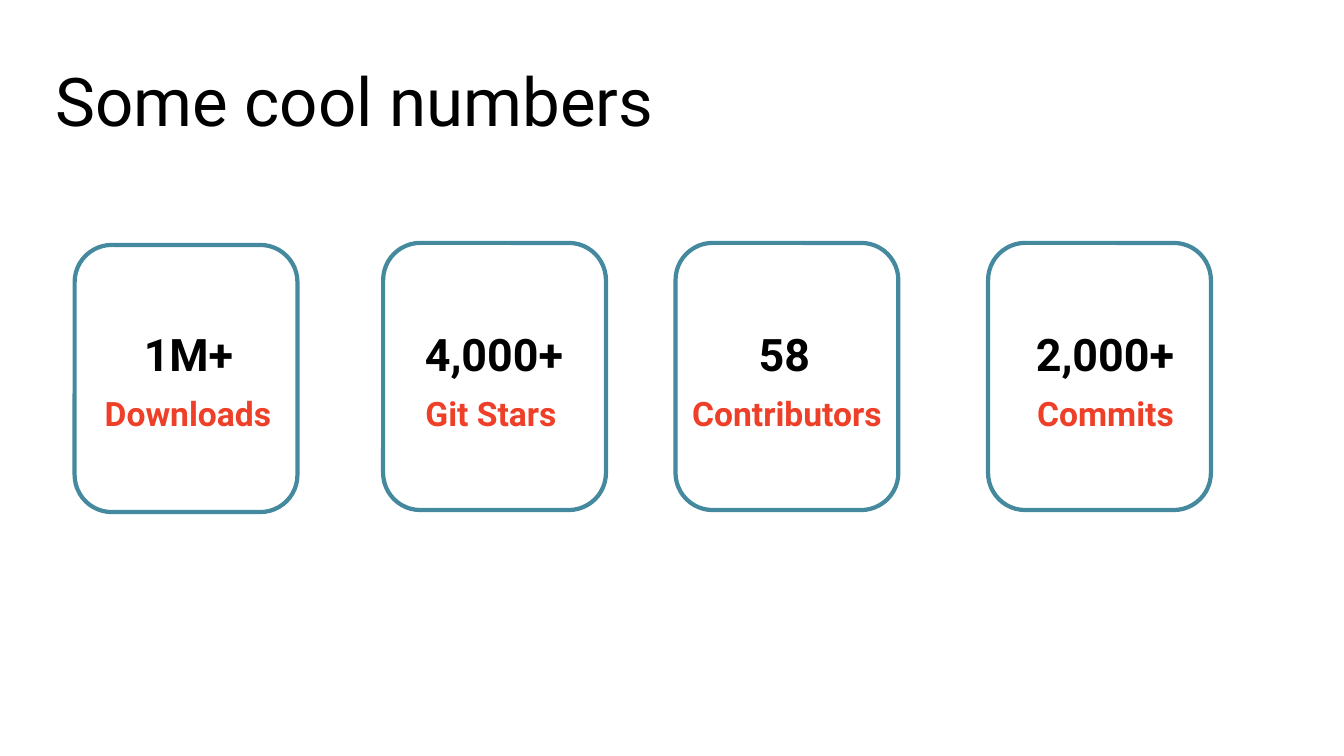
from pptx import Presentation
from pptx.dml.color import RGBColor
from pptx.enum.shapes import MSO_SHAPE
from pptx.enum.text import MSO_ANCHOR, PP_ALIGN
from pptx.util import Pt

PX = 9144
COLORS = {"ink": "000000", "label": "EE4028", "frame": "44899E"}

deck = Presentation()
deck.slide_width, deck.slide_height = 1333 * PX, 750 * PX
slide = deck.slides.add_slide(deck.slide_layouts[6])


def add_text(text, left, top, width, height, size, color, bold=True, align=PP_ALIGN.CENTER):
    box = slide.shapes.add_textbox(left * PX, top * PX, width * PX, height * PX)
    frame = box.text_frame
    frame.word_wrap = True
    frame.vertical_anchor = MSO_ANCHOR.TOP
    for side in ("left", "top", "right", "bottom"):
        setattr(frame, f"margin_{side}", 10 * PX)
    line = frame.paragraphs[0]
    line.alignment = align
    line.line_spacing = 0.9
    run = line.add_run()
    run.text = text
    style = {"name": "Roboto", "size": Pt(size), "bold": bold}
    for key, value in style.items():
        setattr(run.font, key, value)
    run.font.color.rgb = RGBColor.from_string(COLORS[color])


add_text("Some cool numbers", 45, 58, 1242, 84, 48, "ink", False, PP_ALIGN.LEFT)

cards = [
    ("1M+", 81, "Downloads", 94, 212, PP_ALIGN.LEFT, 74, 243),
    ("4,000+", 384, "Git Stars", 381, 212, PP_ALIGN.CENTER, 380, 241),
    ("58", 672, "Contributors", 664, 233, PP_ALIGN.CENTER, 670, 241),
    ("2,000+", 990, "Commits", 980, 233, PP_ALIGN.CENTER, 980, 241),
]
for number, start, label, left, width, align, edge, top in cards:
    add_text(label, left, 384, width, 63, 24, "label", align=align)
    add_text(number, start, 320, 212, 63, 32, "ink")
    card = slide.shapes.add_shape(
        MSO_SHAPE.ROUNDED_RECTANGLE, edge * PX, top * PX, 221 * PX, 265 * PX
    )
    card.shadow.inherit = False
    card.fill.background()
    card.line.color.rgb = RGBColor.from_string(COLORS["frame"])
    card.line.width = Pt(3)

deck.save("out.pptx")
